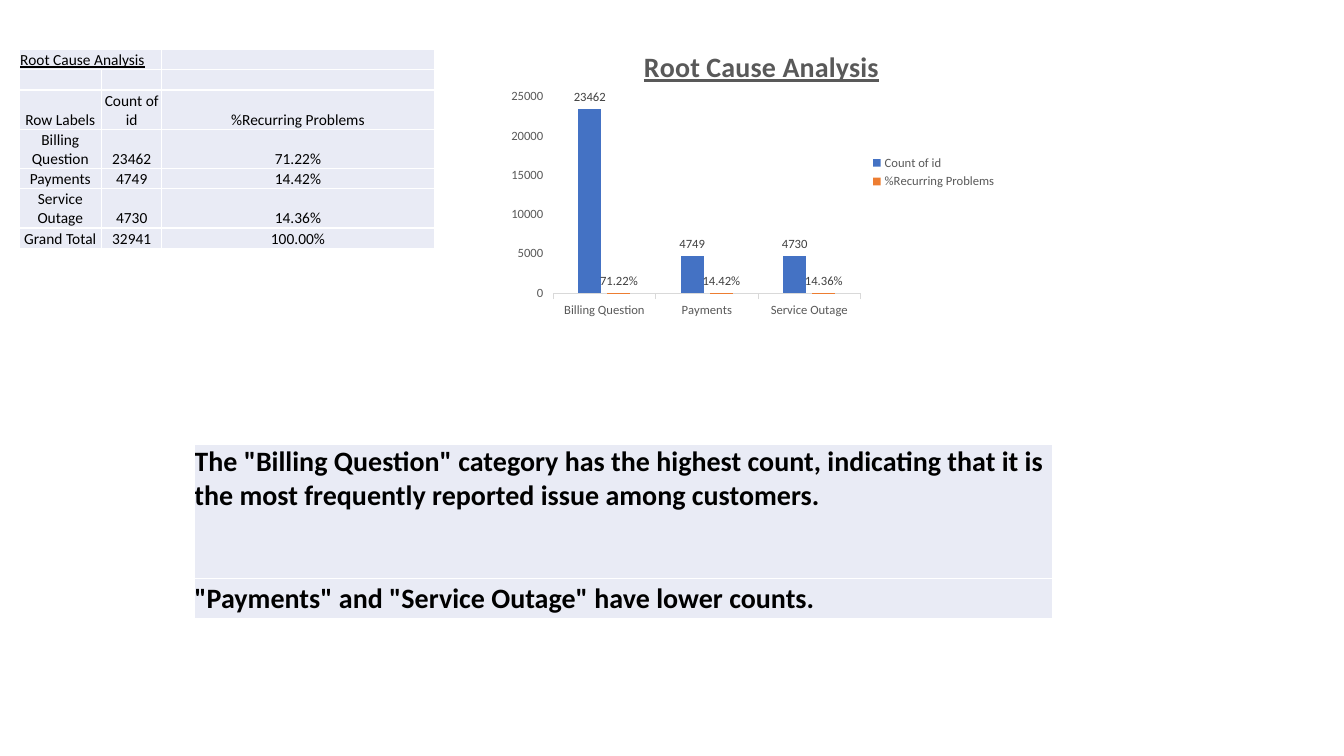
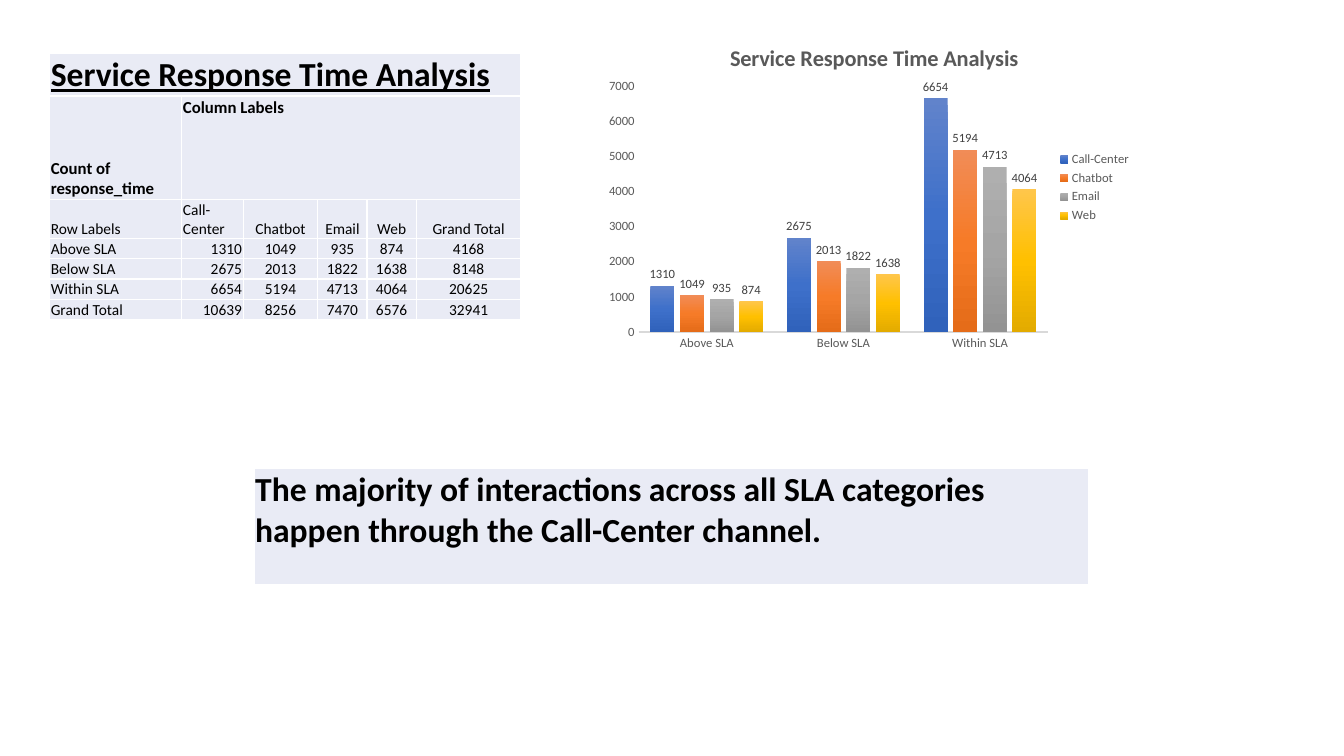
from copy import deepcopy

from lxml import etree
from pptx import Presentation
from pptx.chart.data import CategoryChartData
from pptx.dml.color import RGBColor
from pptx.enum.chart import XL_CHART_TYPE, XL_LABEL_POSITION, XL_LEGEND_POSITION, XL_TICK_MARK
from pptx.enum.text import MSO_ANCHOR, PP_ALIGN
from pptx.oxml.ns import qn
from pptx.util import Cm, Pt

BLACK = RGBColor(0x00, 0x00, 0x00)
CELL = RGBColor(0xE9, 0xEB, 0xF5)
CHART_TEXT = RGBColor(0x59, 0x59, 0x59)
LABEL_TEXT = RGBColor(0x40, 0x40, 0x40)
AXIS = RGBColor(0xD9, 0xD9, 0xD9)
BLUE = RGBColor(0x44, 0x72, 0xC4)
ORANGE = RGBColor(0xED, 0x7D, 0x31)
BLUE_FADE = RGBColor(0x61, 0x83, 0xCB), RGBColor(0x3E, 0x70, 0xCA), RGBColor(0x30, 0x62, 0xBB)
ORANGE_FADE = RGBColor(0xF1, 0x8C, 0x57), RGBColor(0xF6, 0x7B, 0x28), RGBColor(0xE5, 0x6C, 0x19)
GREY_FADE = RGBColor(0xAF, 0xAF, 0xAF), RGBColor(0xA5, 0xA5, 0xA5), RGBColor(0x93, 0x93, 0x93)
GOLD_FADE = RGBColor(0xFF, 0xC6, 0x4B), RGBColor(0xFF, 0xC0, 0x00), RGBColor(0xE3, 0xAB, 0x00)

FONT = "Calibri"
LINE = 0.51
TWO_LINES = 0.97
ALIGNMENTS = {"l": PP_ALIGN.LEFT, "c": PP_ALIGN.CENTER, "r": PP_ALIGN.RIGHT}


class Deck:
    def __init__(self):
        self.prs = Presentation()
        self.prs.slide_width, self.prs.slide_height = Cm(33.87), Cm(19.05)
        self.slide = None

    def new_slide(self):
        self.slide = self.prs.slides.add_slide(self.prs.slide_layouts[6])

    def set_font(self, font, size, color, bold=False, underline=False):
        font.name, font.size, font.bold, font.underline = FONT, Pt(size), bold, underline
        font.color.rgb = color

    def style_cell(self, cell, size=11, align="l", bold=False, underline=False,
                   anchor=MSO_ANCHOR.BOTTOM):
        cell.vertical_anchor = anchor
        paragraph = cell.text_frame.paragraphs[0]
        paragraph.alignment = ALIGNMENTS[align]
        self.set_font(paragraph.font, size, BLACK, bold, underline)

    def table(self, left, top, widths, heights, rows, aligns, inset=0.03, **style):
        table = self.slide.shapes.add_table(
            len(rows), len(widths), Cm(left), Cm(top), Cm(sum(widths)), Cm(sum(heights))).table
        table.first_row = table.horz_banding = False
        for column, width in zip(table.columns, widths):
            column.width = Cm(width)
        for row, height, texts in zip(table.rows, heights, rows):
            row.height = Cm(height)
            for cell, text, align in zip(row.cells, texts, aligns):
                cell.text = text
                cell.margin_left = cell.margin_right = cell.margin_top = Cm(inset)
                cell.margin_bottom = 0
                cell.fill.solid()
                cell.fill.fore_color.rgb = CELL
                self.style_cell(cell, align=align, **style)
        return table

    def finding(self, left, top, width, heights, texts, size, inset=0.03):
        return self.table(left, top, [width], heights, [[text] for text in texts], "l",
                          inset=inset, size=size, bold=True, anchor=MSO_ANCHOR.TOP)

    def place(self, parent, left, top, width=None, height=None):
        layout = parent.find(qn("c:layout"))
        if layout is None:
            layout = etree.Element(qn("c:layout"))
            text = parent.find(qn("c:tx"))
            parent.insert(0 if text is None else 1, layout)
        for child in list(layout):
            layout.remove(child)
        manual = etree.SubElement(layout, qn("c:manualLayout"))
        settings = [("xMode", "edge"), ("yMode", "edge"), ("x", left), ("y", top)]
        if width:
            settings = [("layoutTarget", "inner")] + settings + [("w", width), ("h", height)]
        for tag, value in settings:
            etree.SubElement(manual, qn(f"c:{tag}")).set("val", str(value))

    def fade(self, series, colors):
        fill = series.format.fill
        fill.gradient()
        fill.gradient_angle = 270
        stops = next(series.format.element.iter(qn("a:gsLst"))) if hasattr(
            series.format, "element") else next(series._element.iter(qn("a:gsLst")))
        stops.insert(1, deepcopy(stops[0]))
        for stop, position, color in zip(fill.gradient_stops, (0, 0.5, 1), colors):
            stop.position = position
            stop.color.rgb = color

    def chart(self, box, title, categories, series, top_value, step, gap, overlap, plot_box,
              title_at, title_size, underline=False, ticks=XL_TICK_MARK.NONE, axis_width=1):
        data = CategoryChartData()
        data.categories = categories
        for name, values, _, number_format in series:
            data.add_series(name, values, number_format)
        chart = self.slide.shapes.add_chart(
            XL_CHART_TYPE.COLUMN_CLUSTERED, *map(Cm, box), data).chart
        self.set_font(chart.font, 9, CHART_TEXT)

        chart.has_title = True
        heading = chart.chart_title.text_frame
        heading.text = title
        self.set_font(heading.paragraphs[0].font, title_size, CHART_TEXT, True, underline)
        chart.chart_title.include_in_layout = False
        self.place(chart._chartSpace.chart.find(qn("c:title")), *title_at)
        self.place(chart._chartSpace.chart.plotArea, *plot_box)

        chart.has_legend = True
        chart.legend.position = XL_LEGEND_POSITION.RIGHT
        chart.legend.include_in_layout = False
        self.set_font(chart.legend.font, 9, CHART_TEXT)

        for axis in (chart.category_axis, chart.value_axis):
            axis.has_major_gridlines = False
            axis.major_tick_mark = ticks
            axis.minor_tick_mark = XL_TICK_MARK.NONE
            self.set_font(axis.tick_labels.font, 9, CHART_TEXT)
        chart.category_axis.format.line.color.rgb = AXIS
        chart.category_axis.format.line.width = Pt(axis_width)
        values_axis = chart.value_axis
        values_axis.format.line.fill.background()
        values_axis.minimum_scale, values_axis.maximum_scale = 0, top_value
        values_axis.major_unit = step
        values_axis.tick_labels.number_format = "General"
        values_axis.tick_labels.number_format_is_linked = False

        plot = chart.plots[0]
        plot.gap_width, plot.overlap, plot.vary_by_categories = gap, overlap, False
        for bars, (_, _, color, number_format) in zip(plot.series, series):
            if isinstance(color, RGBColor):
                bars.format.fill.solid()
                bars.format.fill.fore_color.rgb = color
            else:
                self.fade(bars, color)
            labels = bars.data_labels
            labels.show_value = True
            labels.position = XL_LABEL_POSITION.OUTSIDE_END
            labels.number_format, labels.number_format_is_linked = number_format, False
            self.set_font(labels.font, 9, LABEL_TEXT)


def root_cause(deck):
    deck.new_slide()
    causes = deck.table(
        0.48, 1.25, [2.08, 1.52, 6.86],
        [LINE, LINE, TWO_LINES, TWO_LINES, LINE, TWO_LINES, LINE],
        [["Root Cause Analysis", "", ""],
         ["", "", ""],
         ["Row Labels", "Count of id", "%Recurring Problems"],
         ["Billing Question", "23462", "71.22%"],
         ["Payments", "4749", "14.42%"],
         ["Service Outage", "4730", "14.36%"],
         ["Grand Total", "32941", "100.00%"]], "ccc")
    causes.cell(0, 0).merge(causes.cell(0, 1))
    deck.style_cell(causes.cell(0, 0), underline=True)
    deck.chart(
        (12.67, 0.53, 12.7, 7.62), "Root Cause Analysis",
        ["Billing Question", "Payments", "Service Outage"],
        [("Count of id", (23462, 4749, 4730), BLUE, "General"),
         ("%Recurring Problems", (0.7122, 0.1442, 0.1436), ORANGE, "0.00%")],
        25000, 5000, 219, -27, (0.1, 0.25, 0.61, 0.65), (0.27, 0.07), 20,
        underline=True, ticks=XL_TICK_MARK.OUTSIDE, axis_width=0.75)
    findings = deck.finding(
        4.9, 11.2, 21.62, [3.38, 1.02],
        ['The "Billing Question" category has the highest count, indicating that it is '
         'the most frequently reported issue among customers.',
         '"Payments" and "Service Outage" have lower counts.'], 20, inset=0)
    findings.cell(1, 0).vertical_anchor = MSO_ANCHOR.MIDDLE


def response_time(deck):
    deck.new_slide()
    responses = deck.table(
        1.25, 1.35, [3.33, 1.55, 1.88, 1.24, 1.24, 2.64],
        [1.07, 2.6, TWO_LINES] + [LINE] * 4,
        [["Service Response Time Analysis"] + [""] * 5,
         ["Count of response_time", "Column Labels"] + [""] * 4,
         ["Row Labels", "Call-Center", "Chatbot", "Email", "Web", "Grand Total"],
         ["Above SLA", "1310", "1049", "935", "874", "4168"],
         ["Below SLA", "2675", "2013", "1822", "1638", "8148"],
         ["Within SLA", "6654", "5194", "4713", "4064", "20625"],
         ["Grand Total", "10639", "8256", "7470", "6576", "32941"]], "lrcccc")
    responses.cell(0, 0).merge(responses.cell(0, 5))
    responses.cell(1, 1).merge(responses.cell(1, 5))
    deck.style_cell(responses.cell(0, 0), 24, bold=True, underline=True)
    deck.style_cell(responses.cell(1, 0), 12, bold=True)
    deck.style_cell(responses.cell(1, 1), 12, bold=True, anchor=MSO_ANCHOR.TOP)
    deck.style_cell(responses.cell(2, 1))
    deck.chart(
        (14.99, 0.48, 13.77, 8.48), "Service Response Time Analysis",
        ["Above SLA", "Below SLA", "Within SLA"],
        [("Call-Center", (1310, 2675, 6654), BLUE_FADE, "General"),
         ("Chatbot", (1049, 2013, 5194), ORANGE_FADE, "General"),
         ("Email", (935, 1822, 4713), GREY_FADE, "General"),
         ("Web", (874, 1638, 4064), GOLD_FADE, "General")],
        7000, 1000, 100, -24, (0.08, 0.2, 0.75, 0.73), (0.24, 0.06), 16)
    deck.finding(
        6.4, 11.81, 21.03, [2.92],
        ["The majority of interactions across all SLA categories happen through "
         "the Call-Center channel."], 24)


def main():
    deck = Deck()
    root_cause(deck)
    response_time(deck)
    deck.prs.save("out.pptx")


if __name__ == "__main__":
    main()
